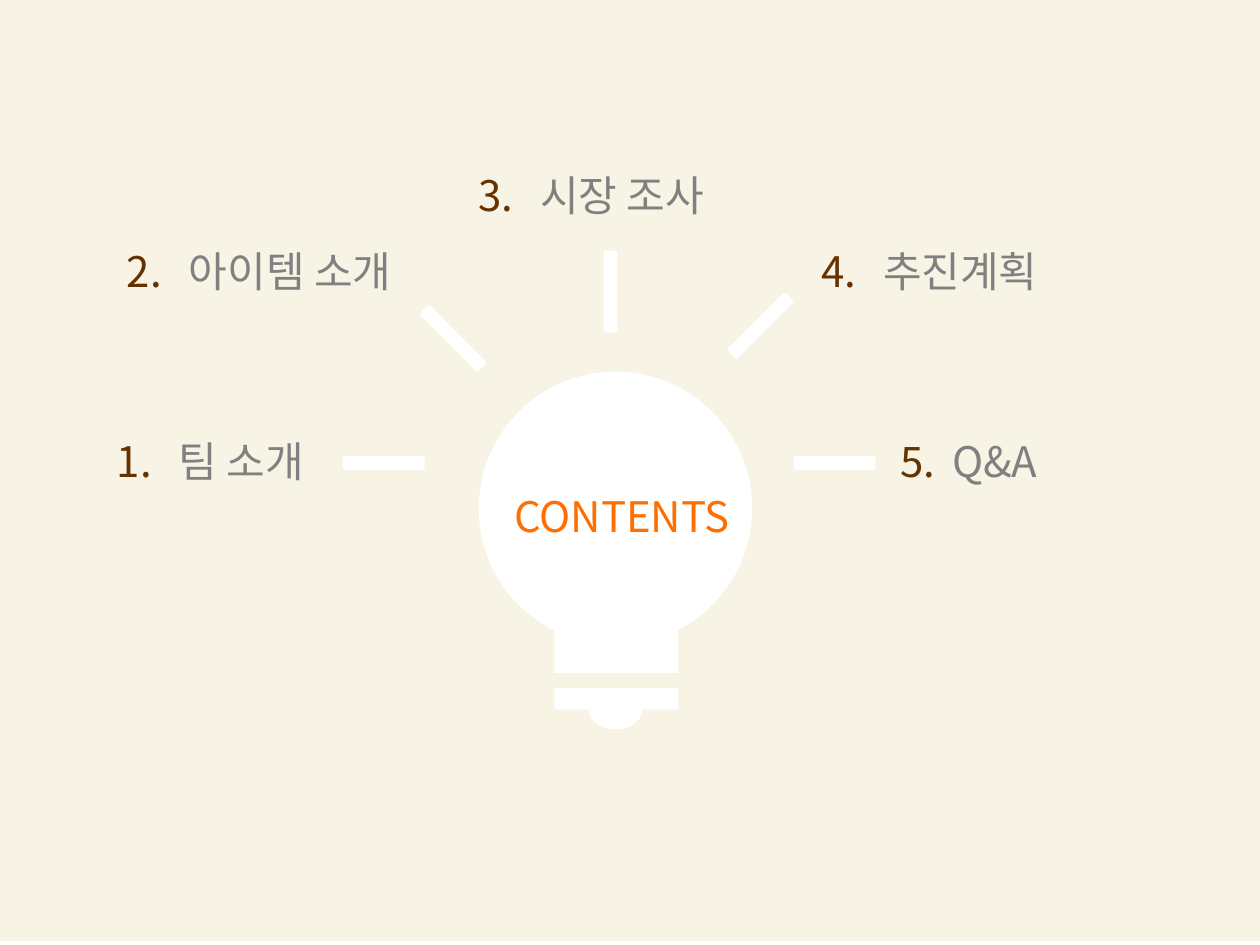
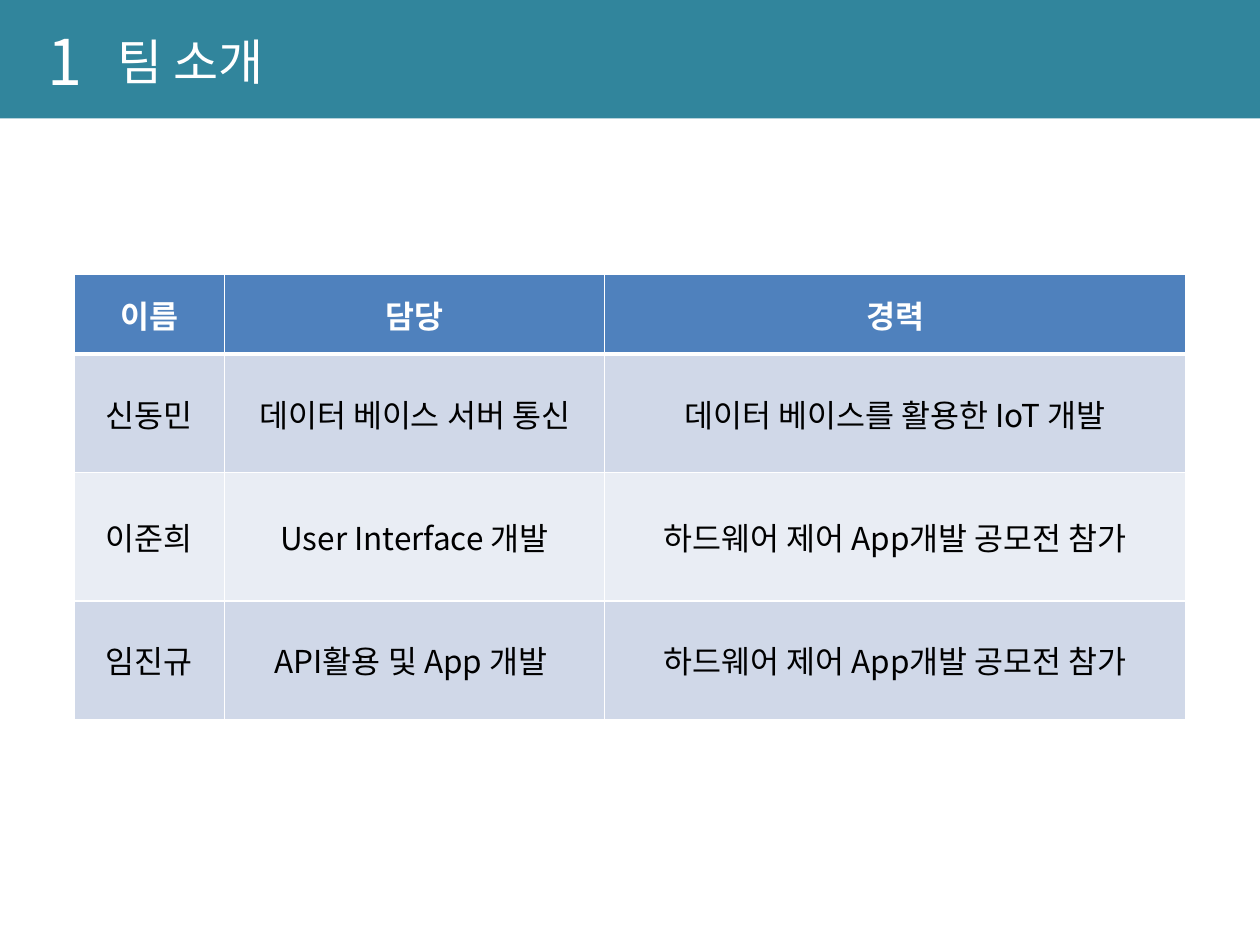
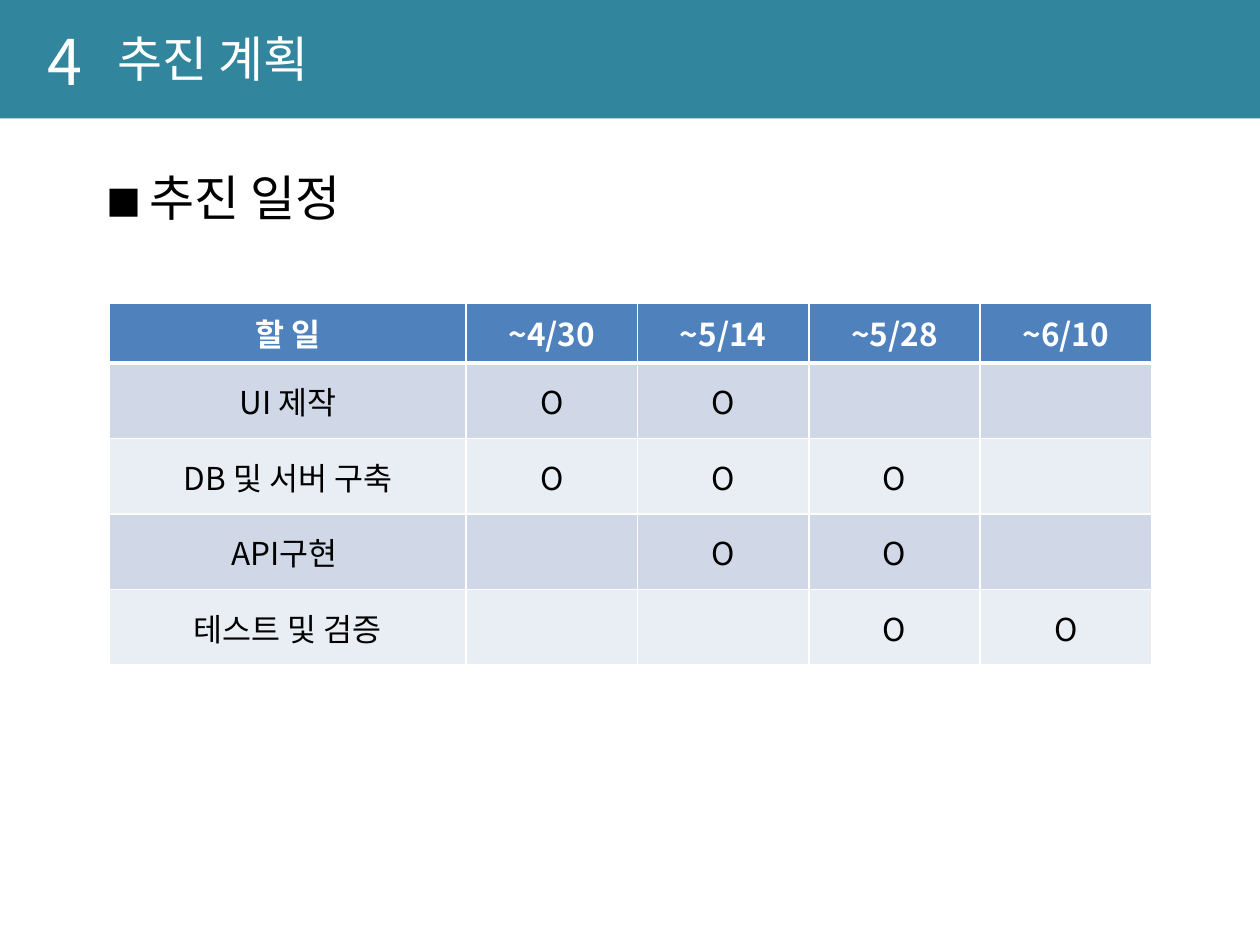
from dataclasses import dataclass

from lxml.etree import SubElement
from pptx import Presentation
from pptx.dml.color import RGBColor
from pptx.enum.shapes import MSO_SHAPE
from pptx.enum.text import MSO_ANCHOR, MSO_AUTO_SIZE, PP_ALIGN
from pptx.oxml import parse_xml
from pptx.oxml.ns import nsdecls, qn
from pptx.util import Emu, Inches, Pt


@dataclass(frozen=True)
class Theme:
    font: str = "Noto Sans CJK KR"
    cream: str = "F7F4E5"
    white: str = "FFFFFF"
    black: str = "000000"
    orange: str = "FF6E01"
    brown: str = "663300"
    gray: str = "808080"
    teal: str = "31859C"
    blue: str = "4F81BD"
    rows: tuple = ("D0D8E8", "E9EDF4")
    huge: int = 36
    head: int = 28
    item: int = 24
    mark: int = 20
    cell: int = 18


THEME = Theme()


def add_run(para, text, size, color, bold=False):
    run = para.add_run()
    run.text = text
    font = run.font
    font.size, font.bold, font.name = Pt(size), bold, THEME.font
    font.color.rgb = RGBColor.from_string(color)
    SubElement(font._element, qn("a:ea"), typeface=THEME.font)


def set_box(shape, box):
    shape.left, shape.top, shape.width, shape.height = map(Inches, box)


def fill_text(shape, *runs):
    frame = shape.text_frame
    frame.word_wrap = True
    frame.auto_size = MSO_AUTO_SIZE.SHAPE_TO_FIT_TEXT
    frame.vertical_anchor = MSO_ANCHOR.TOP
    para = frame.paragraphs[0]
    para.alignment = PP_ALIGN.LEFT
    for run in runs:
        add_run(para, *run)
    return para


def add_text(slide, box, *runs):
    return fill_text(slide.shapes.add_textbox(*map(Inches, box)), *runs)


def add_title(slide, box, text, size, color):
    """Fill the title placeholder and bring it to the front."""
    title = slide.shapes.title
    set_box(title, box)
    fill_text(title, (text, size, color))
    node = title.element
    node.getparent().append(node)


def add_form(shapes, kind, box, color, turn=0):
    form = shapes.add_shape(kind, *map(Inches, box))
    form.shadow.inherit = False
    form.fill.solid()
    form.fill.fore_color.rgb = RGBColor.from_string(color)
    form.line.fill.background()
    form.rotation = turn


def add_bulb(slide, left, top):
    group = slide.shapes.add_group_shape()
    oval, rect = MSO_SHAPE.OVAL, MSO_SHAPE.RECTANGLE
    for kind, x, y, wide, high in (
        (oval, 0, 0, 2.17, 2.17),
        (rect, 0.6, 1.72, 0.98, 0.67),
        (rect, 0.6, 2.51, 0.98, 0.17),
        (oval, 0.87, 2.51, 0.43, 0.33),
    ):
        add_form(group.shapes, kind, (left + x, top + y, wide, high), THEME.white)


def add_rays(slide, left, top):
    spots = ((0, 1.36), (0.55, 0.37), (1.8, 0), (2.99, 0.27), (3.58, 1.36))
    for (x, y), turn in zip(spots, (0, 45, 90, 135, 0)):
        box = (left + x, top + y, 0.65, 0.11)
        add_form(slide.shapes, MSO_SHAPE.ROUNDED_RECTANGLE, box, THEME.white, turn)


def add_item(slide, num, left, top, text, stop):
    """Write a number and, at a tab stop, its topic."""
    para = add_text(
        slide, (left, top, 2.5, 0.5),
        (f"{num}.\t", THEME.item, THEME.brown), (text, THEME.item, THEME.gray),
    )
    tabs = SubElement(para._p.get_or_add_pPr(), qn("a:tabLst"))
    SubElement(tabs, qn("a:tab"), pos=str(Inches(stop)), algn="l")


def add_contents(slide):
    add_form(slide.shapes, MSO_SHAPE.RECTANGLE, (0, -0.03, 10, 7.5), THEME.cream)
    add_bulb(slide, 3.8, 2.95)
    add_rays(slide, 2.72, 2.26)
    add_title(slide, (3.98, 3.84, 2, 0.5), "CONTENTS", THEME.item, THEME.orange)
    items = (
        (0.83, 3.41, "팀 소개", 0.49),
        (0.91, 1.9, "아이템 소개", 0.49),
        (3.7, 1.3, "시장 조사", 0.49),
        (6.42, 1.9, "추진계획", 0.49),
        (7.05, 3.41, "Q&A", 0.41),
    )
    for num, item in enumerate(items, 1):
        add_item(slide, num, *item)


def add_header(slide, num, text, top):
    add_form(slide.shapes, MSO_SHAPE.RECTANGLE, (0, 0, 10, 0.94), THEME.teal)
    add_text(slide, (0.28, 0.13, 0.55, 0.71), (num, THEME.huge, THEME.white))
    add_title(slide, (0.83, top, 6.14, 0.57), text, THEME.head, THEME.white)


def set_edges(cell, row):
    """Draw white cell borders, thick between the head and the first row."""
    wide = {"L": 1, "R": 1, "T": 3 if row == 1 else 1, "B": 3 if row == 0 else 1}
    props = cell._tc.get_or_add_tcPr()
    for spot, (side, size) in enumerate(wide.items()):
        props.insert(spot, parse_xml(
            f'<a:ln{side} {nsdecls("a")} w="{Pt(size)}"><a:solidFill>'
            f'<a:srgbClr val="{THEME.white}"/></a:solidFill></a:ln{side}>'
        ))


def add_grid(slide, left, top, cols, highs, data, anchor=MSO_ANCHOR.MIDDLE):
    """Add a table; anchor places the text of its head row."""
    frame = slide.shapes.add_table(
        len(highs), len(cols), Inches(left), Inches(top),
        Inches(sum(cols)), Inches(sum(highs)),
    )
    table = frame.table
    for col, wide in zip(table.columns, cols):
        col.width = Inches(wide)
    for row, high in zip(table.rows, highs):
        row.height = Inches(high)
    for r, texts in enumerate(data):
        head = r == 0
        fill = THEME.blue if head else THEME.rows[(r - 1) % 2]
        color = THEME.white if head else THEME.black
        for c, text in enumerate(texts):
            cell = table.cell(r, c)
            cell.fill.solid()
            cell.fill.fore_color.rgb = RGBColor.from_string(fill)
            cell.vertical_anchor = anchor if head else MSO_ANCHOR.MIDDLE
            set_edges(cell, r)
            para = cell.text_frame.paragraphs[0]
            para.alignment = PP_ALIGN.CENTER
            if text:
                add_run(para, text, THEME.cell, color, head)


def add_team(slide):
    add_header(slide, "1", "팀 소개", 0.2)
    add_grid(slide, 0.59, 2.18, (1.19, 3.02, 4.61), (0.63, 0.94, 1.02, 0.94), (
        ("이름", "담당", "경력"),
        ("신동민", "데이터 베이스 서버 통신", "데이터 베이스를 활용한 IoT 개발"),
        ("이준희", "User Interface 개발", "하드웨어 제어 App개발 공모전 참가"),
        ("임진규", "API활용 및 App 개발 ", "하드웨어 제어 App개발 공모전 참가"),
    ))


def add_plan(slide):
    add_header(slide, "4", "추진 계획", 0.18)
    tasks = (
        ("UI 제작", (1, 2)),
        ("DB 및 서버 구축", (1, 2, 3)),
        ("API구현 ", (2, 3)),
        ("테스트 및 검증", (3, 4)),
    )
    data = [("할 일", "~4/30", "~5/14", "~5/28", "~6/10")]
    for task, spans in tasks:
        data.append((task, *("O" if col in spans else "" for col in range(1, 5))))
    add_grid(
        slide, 0.87, 2.41, (2.83,) + (1.36,) * 4, (0.47,) + (0.6,) * 4,
        data, MSO_ANCHOR.TOP,
    )
    add_text(
        slide, (0.75, 1.28, 6.38, 0.57),
        ("■ ", THEME.mark, THEME.black), ("추진 일정", THEME.head, THEME.black),
    )


def main():
    deck = Presentation()
    deck.slide_width, deck.slide_height = Inches(10), Inches(7.5)
    for build in (add_contents, add_team, add_plan):
        build(deck.slides.add_slide(deck.slide_layouts[5]))
    deck.save("out.pptx")


if __name__ == "__main__":
    main()
